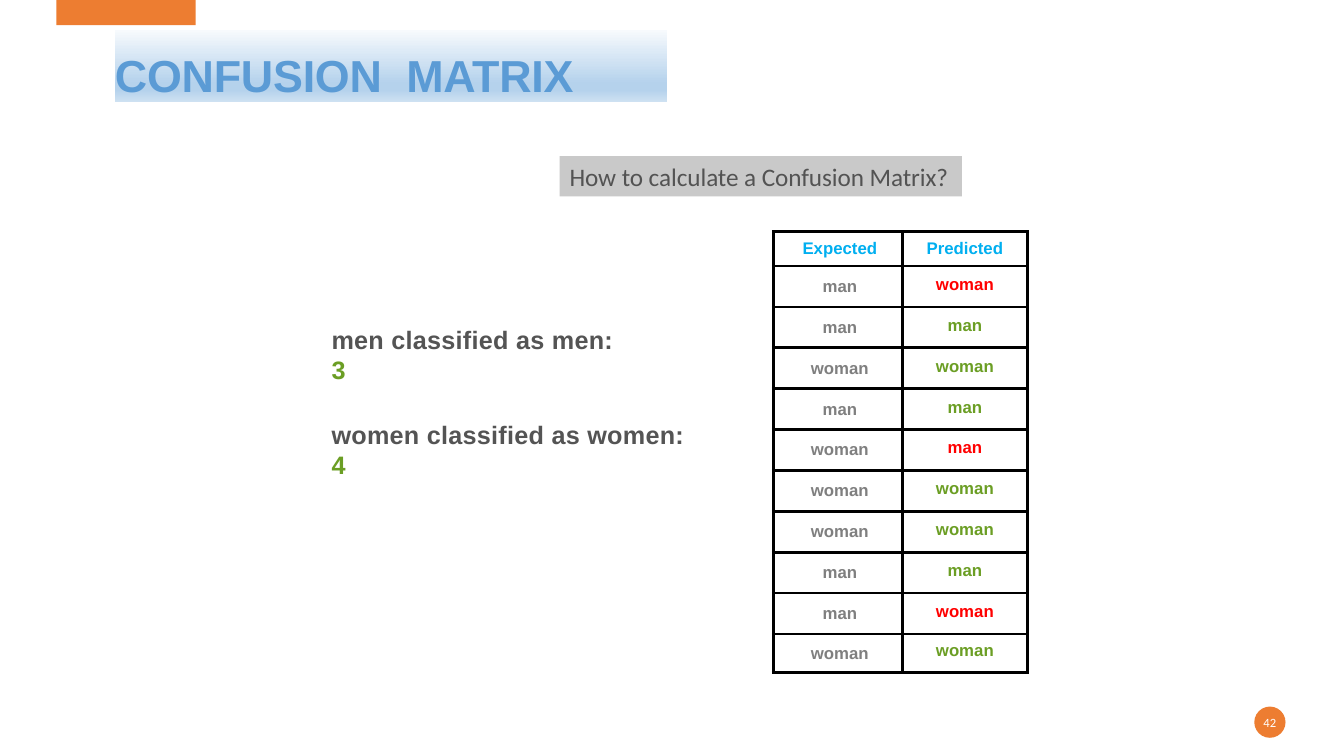
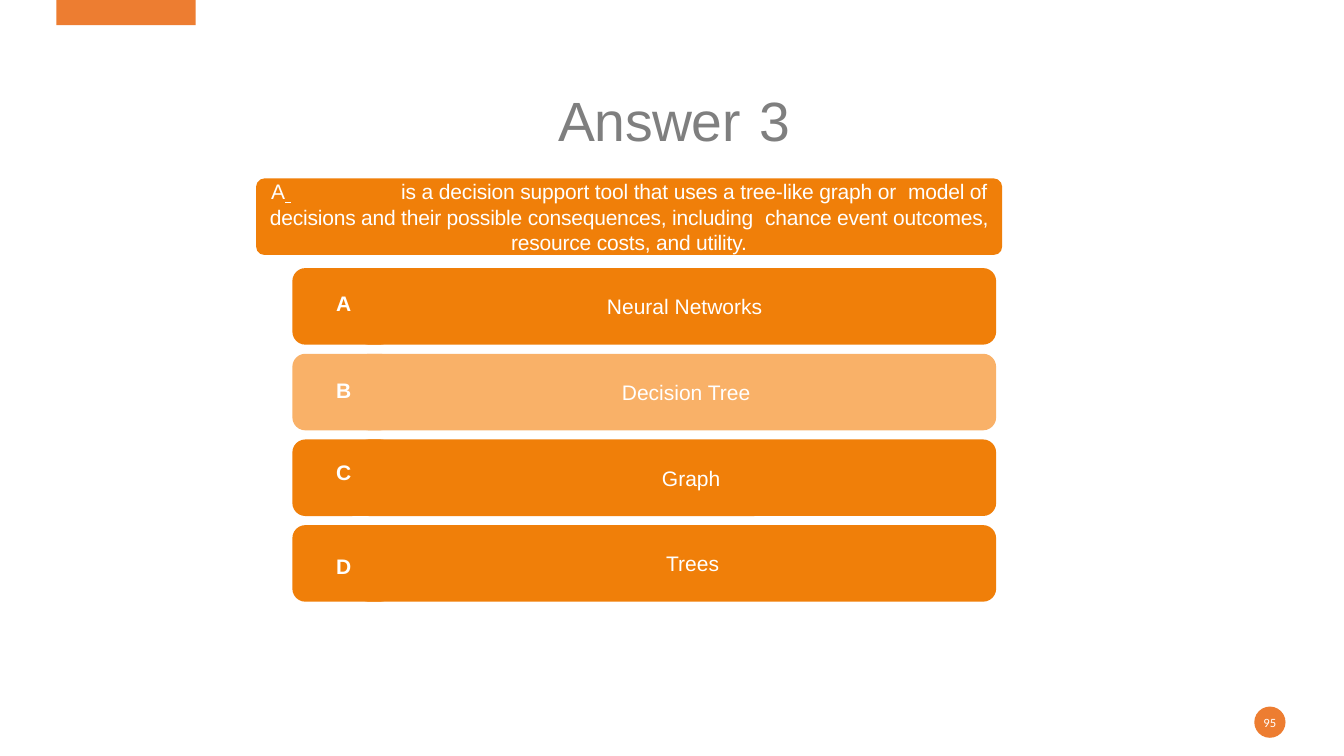
from lxml import etree
from pptx import Presentation
from pptx.dml.color import RGBColor
from pptx.enum.shapes import MSO_SHAPE
from pptx.enum.text import MSO_ANCHOR, MSO_AUTO_SIZE, PP_ALIGN
from pptx.oxml.ns import qn
from pptx.util import Inches, Pt

RECTANGLE, ROUNDED, OVAL = MSO_SHAPE.RECTANGLE, MSO_SHAPE.ROUNDED_RECTANGLE, MSO_SHAPE.OVAL
TOP, MIDDLE, BOTTOM = MSO_ANCHOR.TOP, MSO_ANCHOR.MIDDLE, MSO_ANCHOR.BOTTOM
LEFT, CENTER = PP_ALIGN.LEFT, PP_ALIGN.CENTER
NO_AUTOFIT = MSO_AUTO_SIZE.NONE

ACCENT, ORANGE, PALE_ORANGE = "ED7D31", "F07F09", "F9B168"
WHITE, BLACK, BLUE, HEADER_BLUE = "FFFFFF", "000000", "5B9BD5", "00AFF0"
GREY, DARK_GREY, LIGHT_GREY = "7F7F7F", "545454", "C9C9C9"
GREEN, RED = "6B9E24", "FF0000"
TITLE_GRADIENT = [(0, "F7FAFD"), (74, "B5D2EC"), (83, "B5D2EC"), (100, "CEE1F2")]

TITLE_ONLY_LAYOUT = 5
DEFAULT_MARGINS = (0.1, 0.05, 0.1, 0.05)
NO_MARGINS = (0, 0, 0, 0)

PREDICTIONS = [
    ("man", "woman"), ("man", "man"), ("woman", "woman"), ("man", "man"),
    ("woman", "man"), ("woman", "woman"), ("woman", "woman"), ("man", "man"),
    ("man", "woman"), ("woman", "woman"),
]
TABLE_HEIGHT, HEADER_HEIGHT, LAST_HEIGHT = 4.37, 0.34, 0.38
ANSWERS = [
    ("A", 2.83, "Neural Networks", 0.17, ORANGE),
    ("B", 3.7, "Decision Tree", 0.2, PALE_ORANGE),
    ("C", 4.51, "Graph", 0.3, ORANGE),
    ("D", 5.44, "Trees", 0.33, ORANGE),
]


def color(value):
    """Turn a hex string into a colour."""
    return RGBColor.from_string(value)


def set_font(font, size, ink, name="Arial", bold=False):
    """Format a font."""
    font.size, font.name, font.bold = Pt(size), name, bold
    font.color.rgb = color(ink)


def set_spacing(run, points):
    """Set the letter spacing of a run."""
    run._r.get_or_add_rPr().set("spc", str(round(points * 100)))


def add_run(paragraph, text, spacing=0):
    """Append a run with its letter spacing."""
    run = paragraph.add_run()
    run.text = text
    if spacing:
        set_spacing(run, spacing)
    return run


def set_frame(frame, anchor=MIDDLE, margins=DEFAULT_MARGINS, wrap=True):
    """Lay out a text frame."""
    frame.auto_size = NO_AUTOFIT
    frame.word_wrap = wrap
    frame.vertical_anchor = anchor
    sides = [Inches(margin) for margin in margins]
    frame.margin_left, frame.margin_top, frame.margin_right, frame.margin_bottom = sides


def add_shape(slide, kind, box, fill, radius=None):
    """Add a plain filled shape without outline."""
    shape = slide.shapes.add_shape(kind, *map(Inches, box))
    shape.shadow.inherit = False
    shape.fill.solid()
    shape.fill.fore_color.rgb = color(fill)
    shape.line.fill.background()
    if radius is not None:
        shape.adjustments[0] = radius
    return shape


def add_label(shape, text, size, ink=WHITE, name="Arial", bold=False, spacing=0,
              align=CENTER, margins=NO_MARGINS):
    """Write one line of text in a shape."""
    set_frame(shape.text_frame, margins=margins)
    paragraph = shape.text_frame.paragraphs[0]
    paragraph.alignment = align
    set_font(paragraph.font, size, ink, name, bold)
    add_run(paragraph, text, spacing)


def add_gradient(shape, stops):
    """Fill a shape with a vertical gradient."""
    shape.fill.gradient()
    shape.fill.gradient_angle = 270
    stop_list = shape._element.spPr.find(qn("a:gradFill")).find(qn("a:gsLst"))
    for stop in list(stop_list):
        stop_list.remove(stop)
    for position, value in stops:
        stop = etree.SubElement(stop_list, qn("a:gs"), pos=str(position * 1000))
        etree.SubElement(stop, qn("a:srgbClr"), val=value)


def set_title(slide, box, runs, size, ink, anchor, margins, bold=False):
    """Place and format the title placeholder."""
    title = slide.shapes.title
    title.left, title.top, title.width, title.height = map(Inches, box)
    set_frame(title.text_frame, anchor, margins, wrap=False)
    paragraph = title.text_frame.paragraphs[0]
    paragraph.alignment = LEFT
    set_font(paragraph.font, size, ink, bold=bold)
    for text, spacing in runs:
        add_run(paragraph, text, spacing)
    return title


def add_slide(presentation, number):
    """Add a slide with the top tab and the page badge."""
    slide = presentation.slides.add_slide(presentation.slide_layouts[TITLE_ONLY_LAYOUT])
    add_shape(slide, RECTANGLE, (0.56, -0.02, 1.38, 0.27), ACCENT)
    badge = add_shape(slide, OVAL, (12.44, 7.01, 0.31, 0.31), ACCENT)
    add_label(badge, str(number), 9, name="Calibri")
    badge.text_frame.word_wrap = False
    return slide


def add_count(slide, top, width, text, value):
    """Add a statement followed by its green count."""
    box = slide.shapes.add_textbox(Inches(3.19), Inches(top), Inches(width), Inches(0.7))
    set_frame(box.text_frame, TOP)
    paragraph = box.text_frame.paragraphs[0]
    set_font(paragraph.font, 18, DARK_GREY, bold=True)
    add_run(paragraph, text + " ", 0.2)
    add_run(paragraph, value, 0.1).font.color.rgb = color(GREEN)


def set_borders(cell, widths):
    """Draw the left, right, top and bottom borders of a cell."""
    properties = cell._tc.get_or_add_tcPr()
    for index, (side, width) in enumerate(zip("LRTB", widths)):
        line = etree.Element(qn("a:ln" + side), w=str(Pt(width)))
        fill = etree.SubElement(line, qn("a:solidFill"))
        etree.SubElement(fill, qn("a:srgbClr"), val=BLACK)
        properties.insert(index, line)


def fill_cell(cell, text, ink, margins, borders):
    """Write and frame one table cell."""
    cell.fill.background()
    cell.vertical_anchor = MIDDLE
    sides = [Inches(margin) for margin in margins]
    cell.margin_left, cell.margin_top, cell.margin_right, cell.margin_bottom = sides
    paragraph = cell.text_frame.paragraphs[0]
    paragraph.alignment = CENTER
    set_font(paragraph.font, 12, ink, bold=True)
    add_run(paragraph, text)
    set_borders(cell, borders)


def add_prediction_table(slide):
    """Add the expected and predicted classes, with errors in red."""
    inner_count = len(PREDICTIONS) - 1
    inner_height = (TABLE_HEIGHT - HEADER_HEIGHT - LAST_HEIGHT) / inner_count
    heights = [HEADER_HEIGHT] + [inner_height] * inner_count + [LAST_HEIGHT]
    frame = slide.shapes.add_table(len(heights), 2, Inches(7.67), Inches(2.3),
                                   Inches(2.52), Inches(TABLE_HEIGHT))
    table = frame.table
    table.first_row = table.horz_banding = False
    for column, width in zip(table.columns, (1.28, 1.24)):
        column.width = Inches(width)
    rows = [("Expected", "Predicted", HEADER_BLUE, HEADER_BLUE)]
    for expected, predicted in PREDICTIONS:
        rows.append((expected, predicted, GREY, GREEN if expected == predicted else RED))
    for index, (expected, predicted, expected_ink, predicted_ink) in enumerate(rows):
        table.rows[index].height = Inches(heights[index])
        lift = 0.04 if index else 0
        fill_cell(table.cell(index, 0), expected, expected_ink,
                  (0.04, 0, 0, 0), (2.25, 3, 2.25, 2.25))
        fill_cell(table.cell(index, 1), predicted, predicted_ink,
                  (0, 0, 0, lift), (3, 2.25, 2.25, 2.25))


def add_question(slide):
    """Add the question panel with a blank to fill in."""
    panel = add_shape(slide, ROUNDED, (2.54, 1.77, 7.4, 0.76), ORANGE, 0.11)
    set_frame(panel.text_frame, margins=(0.08, 0, 0.08, 0))
    paragraph = panel.text_frame.paragraphs[0]
    paragraph.alignment = CENTER
    tabs = etree.SubElement(paragraph._p.get_or_add_pPr(), qn("a:tabLst"))
    etree.SubElement(tabs, qn("a:tab"), pos=str(Inches(1.29)), algn="l")
    set_font(paragraph.font, 15, WHITE)
    add_run(paragraph, "A")
    add_run(paragraph, " ").font.underline = True
    add_run(paragraph, "\t")
    add_run(paragraph, "is a decision support tool that uses a tree-like graph or", -0.12)
    add_run(paragraph, " ", 4)
    add_run(paragraph, "model of decisions and their possible consequences, including", -0.15)
    add_run(paragraph, " ", 4)
    add_run(paragraph, "chance event outcomes, resource costs, and utility.", -0.15)


def add_answer(slide, top, letter, letter_top, text, indent, fill):
    """Add one answer: a badge, a bar and the plate that holds the letter."""
    add_shape(slide, ROUNDED, (2.9, top, 1, 0.76), fill, 0.17)
    bar = add_shape(slide, ROUNDED, (3.53, top, 6.35, 0.76), fill, 0.17)
    add_label(bar, text, 15, margins=(indent, 0, 0, 0))
    plate = add_shape(slide, RECTANGLE, (3.06, letter_top, 0.7, 0.35), fill)
    add_label(plate, letter, 15, bold=True)


def build_matrix_slide(presentation):
    """Build the confusion matrix slide."""
    slide = add_slide(presentation, 42)
    title = set_title(slide, (1.14, 0.3, 5.48, 0.71),
                      [("CONFUSION", -0.2), (" ", 8.5), ("MATRIX", -0.2)],
                      32, BLUE, BOTTOM, NO_MARGINS, bold=True)
    title.text_frame.paragraphs[0].line_spacing = Pt(43.6)
    add_gradient(title, TITLE_GRADIENT)
    heading = add_shape(slide, RECTANGLE, (5.55, 1.55, 3.99, 0.4), LIGHT_GREY)
    add_label(heading, "How to calculate a Confusion Matrix?", 18, "535353", "Calibri",
              spacing=-0.07, align=LEFT, margins=DEFAULT_MARGINS)
    add_count(slide, 3.17, 3.1, "men classified as men:", "3")
    add_count(slide, 4.11, 3.8, "women classified as women:", "4")
    add_prediction_table(slide)


def build_answer_slide(presentation):
    """Build the quiz answer slide."""
    slide = add_slide(presentation, 95)
    set_title(slide, (5.44, 0.81, 2.53, 0.77), [("Answer", -0.3), (" ", 2.5), ("3", 0.1)],
              39.5, GREY, TOP, DEFAULT_MARGINS)
    add_question(slide)
    for index, answer in enumerate(ANSWERS):
        add_answer(slide, 2.66 + 0.85 * index, *answer)


def main():
    """Build and save the presentation."""
    presentation = Presentation()
    presentation.slide_width, presentation.slide_height = Inches(13.33), Inches(7.5)
    build_matrix_slide(presentation)
    build_answer_slide(presentation)
    presentation.save("out.pptx")


if __name__ == "__main__":
    main()
